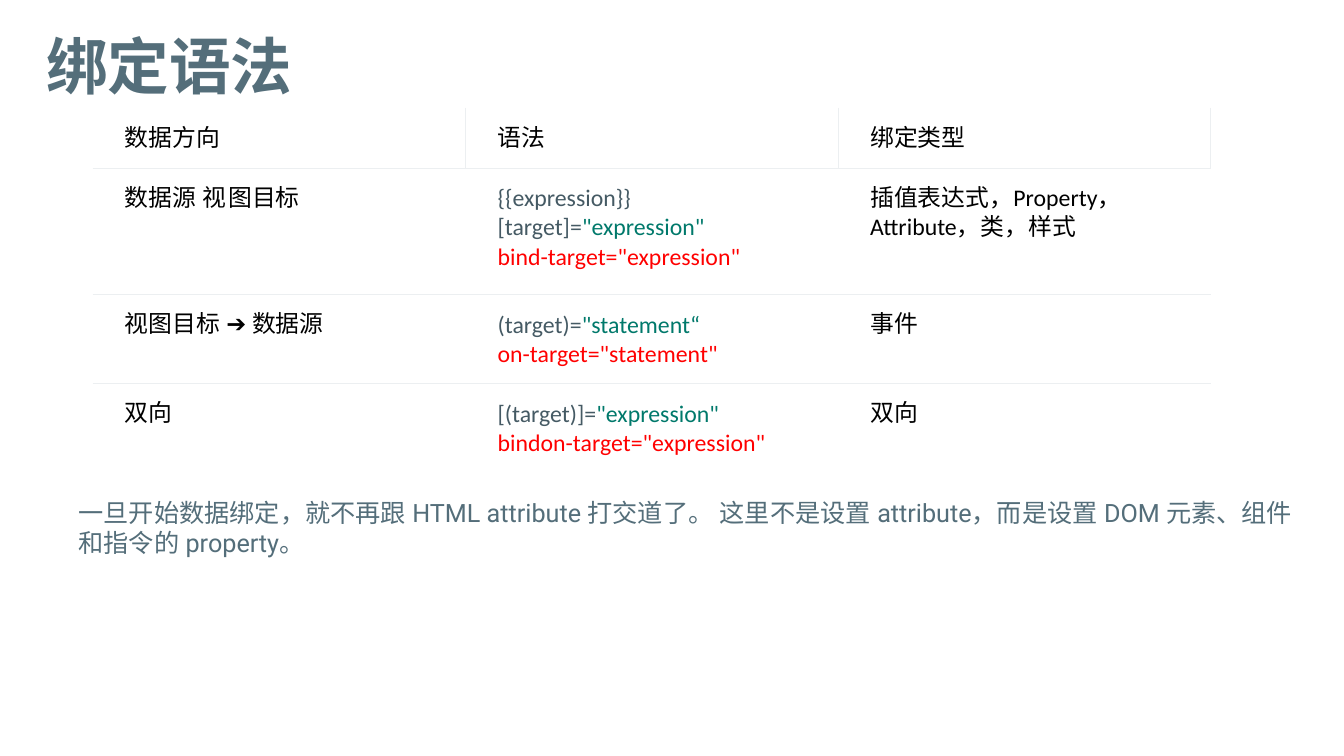
from pptx import Presentation
from pptx.dml.color import RGBColor
from pptx.enum import text
from pptx.oxml import parse_xml
from pptx.oxml.ns import nsdecls
from pptx.util import Cm, Pt

SLATE = RGBColor(0x54, 0x6E, 0x7A)
BLACK = RGBColor(0, 0, 0)
CODE = RGBColor(0x45, 0x5A, 0x64)
TEAL = RGBColor(0x00, 0x79, 0x6B)
RED = RGBColor(0xFF, 0, 0)
WHITE = RGBColor(0xFF, 0xFF, 0xFF)
RULE = RGBColor(0xEC, 0xEF, 0xF1)

TITLE = "绑定语法"
NOTE = ("一旦开始数据绑定，就不再跟 HTML attribute 打交道了。 这里不是设置 attribute，"
        "而是设置 DOM 元素、组件和指令的 property。")


def label(words):
    return [[(words, "Roboto", BLACK)]]


def syntax(target, value, long_form):
    return [[(target, "Calibri", CODE), (value, "Calibri", TEAL)],
            [(long_form, "Calibri", RED)]]


BINDINGS = [
    (label("数据方向"), label("语法"), label("绑定类型")),
    (label("数据源 ➔ 视图目标"),
     syntax("{{expression}} [target]=", '"expression" ', 'bind-target="expression"'),
     [[("插值表达式，", "Roboto", BLACK),
       ("Property，Attribute，", "Calibri", BLACK),
       ("类，样式", "Roboto", BLACK)]]),
    (label("视图目标 ➔ 数据源"),
     syntax("(target)=", '"statement“', 'on-target="statement"'),
     label("事件")),
    (label("双向"),
     syntax("[(target)]=", '"expression" ', 'bindon-target="expression"'),
     label("双向")),
]
ROW_HEIGHTS = [1.32, 3.18, 2.13, 2.13]
COLUMN_WIDTH = 9.39


def add_span(para, words, font, color, size, bold=False):
    span = para.add_run()
    span.text = words
    span.font.name, span.font.size = font, Pt(size)
    span.font.bold, span.font.color.rgb = bold, color
    span.font._element.append(parse_xml(f'<a:ea {nsdecls("a")} typeface="{font}"/>'))


def place(box, left, top, width, height):
    box.left, box.top, box.width, box.height = map(Cm, (left, top, width, height))


def set_borders(cell, sides):
    properties = cell._tc.get_or_add_tcPr()
    for index, side in enumerate("LRTB"):
        paint = (f'<a:solidFill><a:srgbClr val="{RULE}"/></a:solidFill>'
                 if side in sides else "<a:noFill/>")
        properties.insert(index, parse_xml(
            f'<a:ln{side} {nsdecls("a")} w="{Pt(0.75)}">{paint}</a:ln{side}>'))


def fill_cell(cell, paragraphs, sides):
    cell.margin_left = cell.margin_right = Cm(0.81)
    cell.margin_top = cell.margin_bottom = Cm(0.4)
    cell.fill.solid()
    cell.fill.fore_color.rgb = WHITE
    set_borders(cell, sides)
    frame = cell.text_frame
    for index, spans in enumerate(paragraphs):
        para = frame.add_paragraph() if index else frame.paragraphs[0]
        for words, font, color in spans:
            add_span(para, words, font, color, 17)


def build():
    """Build the binding syntax slide and save it."""
    deck = Presentation()
    deck.slide_width, deck.slide_height = Cm(33.87), Cm(19.05)
    page = deck.slides.add_slide(deck.slide_layouts[5])

    title = page.shapes.title
    place(title, 0.91, 0.58, 6.81, 2.13)
    frame = title.text_frame
    frame.word_wrap = False
    frame.auto_size = text.MSO_AUTO_SIZE.SHAPE_TO_FIT_TEXT
    frame.vertical_anchor = text.MSO_ANCHOR.TOP
    frame.paragraphs[0].alignment = text.PP_ALIGN.LEFT
    add_span(frame.paragraphs[0], TITLE, "Roboto", SLATE, 44, True)

    columns = len(BINDINGS[0])
    table = page.shapes.add_table(
        len(BINDINGS), columns, Cm(2.34), Cm(2.72),
        Cm(COLUMN_WIDTH * columns), Cm(sum(ROW_HEIGHTS))).table
    table.first_row = table.horz_banding = False
    for column in table.columns:
        column.width = Cm(COLUMN_WIDTH)
    for row, (height, contents) in enumerate(zip(ROW_HEIGHTS, BINDINGS)):
        table.rows[row].height = Cm(height)
        for column, paragraphs in enumerate(contents):
            if row == 0:
                sides = "LRB" if column else "RB"
            else:
                sides = "T" if row == len(BINDINGS) - 1 else "TB"
            fill_cell(table.cell(row, column), paragraphs, sides)

    note = page.shapes.add_textbox(0, 0, 0, 0)
    place(note, 1.73, 12.4, 31.62, 1.8)
    note.text_frame.word_wrap = True
    note.text_frame.auto_size = text.MSO_AUTO_SIZE.SHAPE_TO_FIT_TEXT
    add_span(note.text_frame.paragraphs[0], NOTE, "Roboto", SLATE, 18)

    deck.save("out.pptx")


build()
